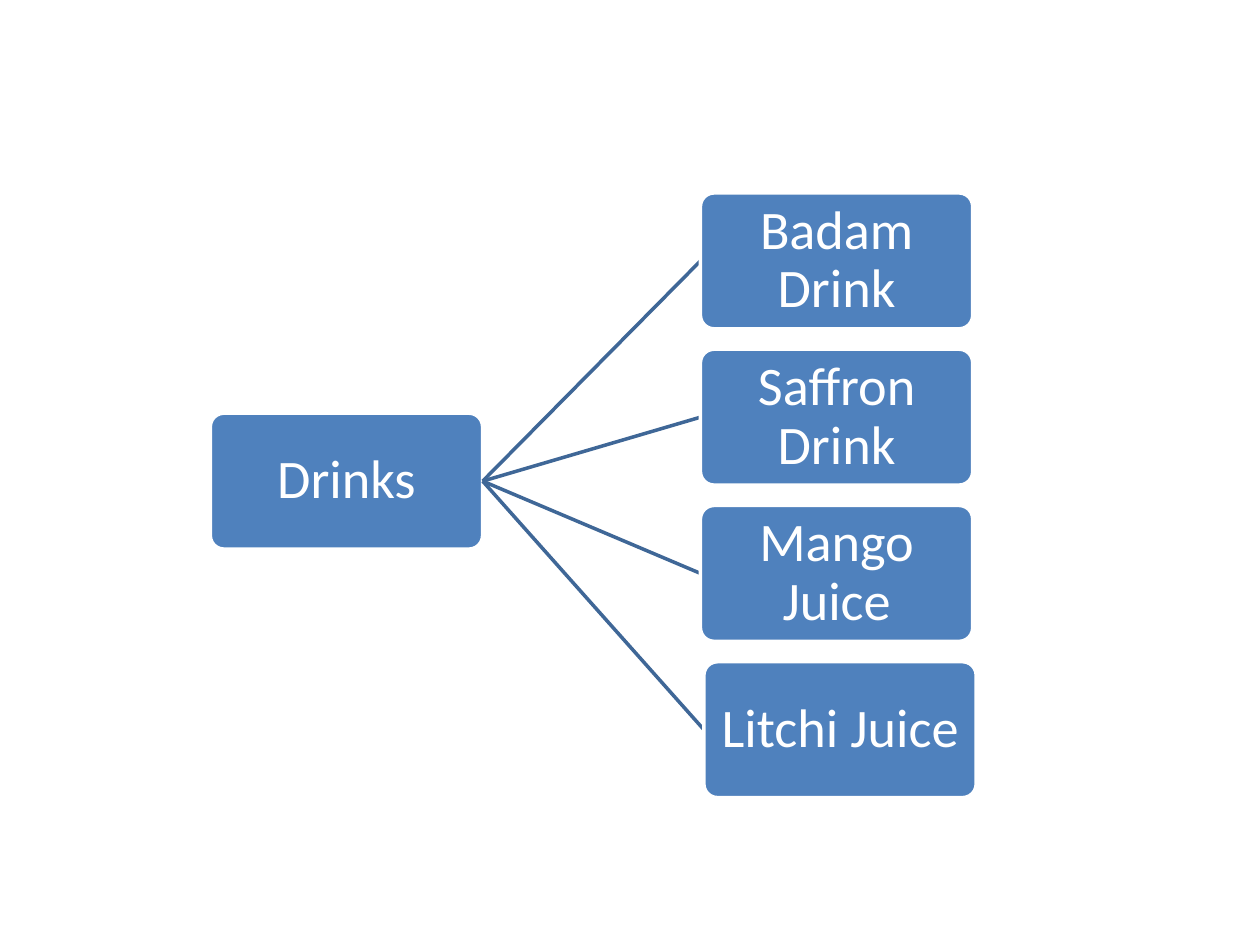
from dataclasses import dataclass

from lxml.etree import SubElement
from pptx import Presentation
from pptx.dml.color import RGBColor
from pptx.enum.shapes import MSO_CONNECTOR, MSO_SHAPE
from pptx.enum.text import MSO_ANCHOR, PP_ALIGN
from pptx.oxml.ns import qn
from pptx.util import Cm, Pt


@dataclass(frozen=True)
class Theme:
    node: RGBColor = RGBColor(0x4F, 0x81, 0xBD)
    branch: RGBColor = RGBColor(0x3F, 0x67, 0x97)
    light: RGBColor = RGBColor(0xFF, 0xFF, 0xFF)
    font: str = "Calibri"
    label_size: int = 31
    line_width: int = 2


@dataclass(frozen=True)
class Box:
    left: float
    top: float
    width: float
    height: float

    @property
    def right(self):
        return self.left + self.width

    @property
    def middle(self):
        return self.top + self.height / 2


THEME = Theme()
NODE_WIDTH, NODE_HEIGHT = 5.49, 2.74
ROOT_OFFSET = 4.44
DRINKS = [
    ("Badam Drink", 0),
    ("Saffron Drink", 0),
    ("Mango Juice", 0),
    ("Litchi Juice", 0.07),
]


def write_text(frame, text, *, size, color, font, align, line_spacing):
    frame.word_wrap = True
    frame.vertical_anchor = MSO_ANCHOR.MIDDLE
    frame.margin_left = frame.margin_right = Cm(0.05)
    frame.margin_top = frame.margin_bottom = Cm(0.05)
    paragraph = frame.paragraphs[0]
    paragraph.alignment = align
    paragraph.line_spacing = line_spacing
    run = paragraph.add_run()
    run.text = text
    run.font.size = Pt(size)
    run.font.name = font
    run.font.color.rgb = color


def add_node(slide, box, label):
    node = slide.shapes.add_shape(
        MSO_SHAPE.ROUNDED_RECTANGLE,
        Cm(box.left), Cm(box.top), Cm(box.width), Cm(box.height),
    )
    node.adjustments[0] = 0.1
    node.shadow.inherit = False
    node.fill.solid()
    node.fill.fore_color.rgb = THEME.node
    node.line.color.rgb = THEME.light
    node.line.width = Pt(THEME.line_width)
    write_text(
        node.text_frame, label, size=THEME.label_size, color=THEME.light,
        font=THEME.font, align=PP_ALIGN.CENTER, line_spacing=0.9,
    )


def add_branch(slide, parent, child):
    branch = slide.shapes.add_connector(
        MSO_CONNECTOR.STRAIGHT,
        Cm(parent.right), Cm(parent.middle), Cm(child.left), Cm(child.middle),
    )
    branch.line.color.rgb = THEME.branch
    branch.line.width = Pt(THEME.line_width)
    SubElement(branch._element.spPr, qn("a:effectLst"))


def add_tree(slide, box, root_label, leaves):
    root = Box(box.left, box.top + ROOT_OFFSET, NODE_WIDTH, NODE_HEIGHT)
    add_node(slide, root, root_label)
    pitch = (box.height - NODE_HEIGHT) / (len(leaves) - 1)
    for row, (label, shift) in enumerate(leaves):
        leaf = Box(
            box.right - NODE_WIDTH + shift, box.top + row * pitch,
            NODE_WIDTH, NODE_HEIGHT,
        )
        add_branch(slide, root, leaf)
        add_node(slide, leaf, label)


def main():
    deck = Presentation()
    deck.slide_width, deck.slide_height = Cm(25.4), Cm(19.05)
    slide = deck.slides.add_slide(deck.slide_layouts[6])
    add_tree(slide, Box(4.24, 3.89, 15.37, 12.19), "Drinks", DRINKS)
    deck.save("out.pptx")


if __name__ == "__main__":
    main()
